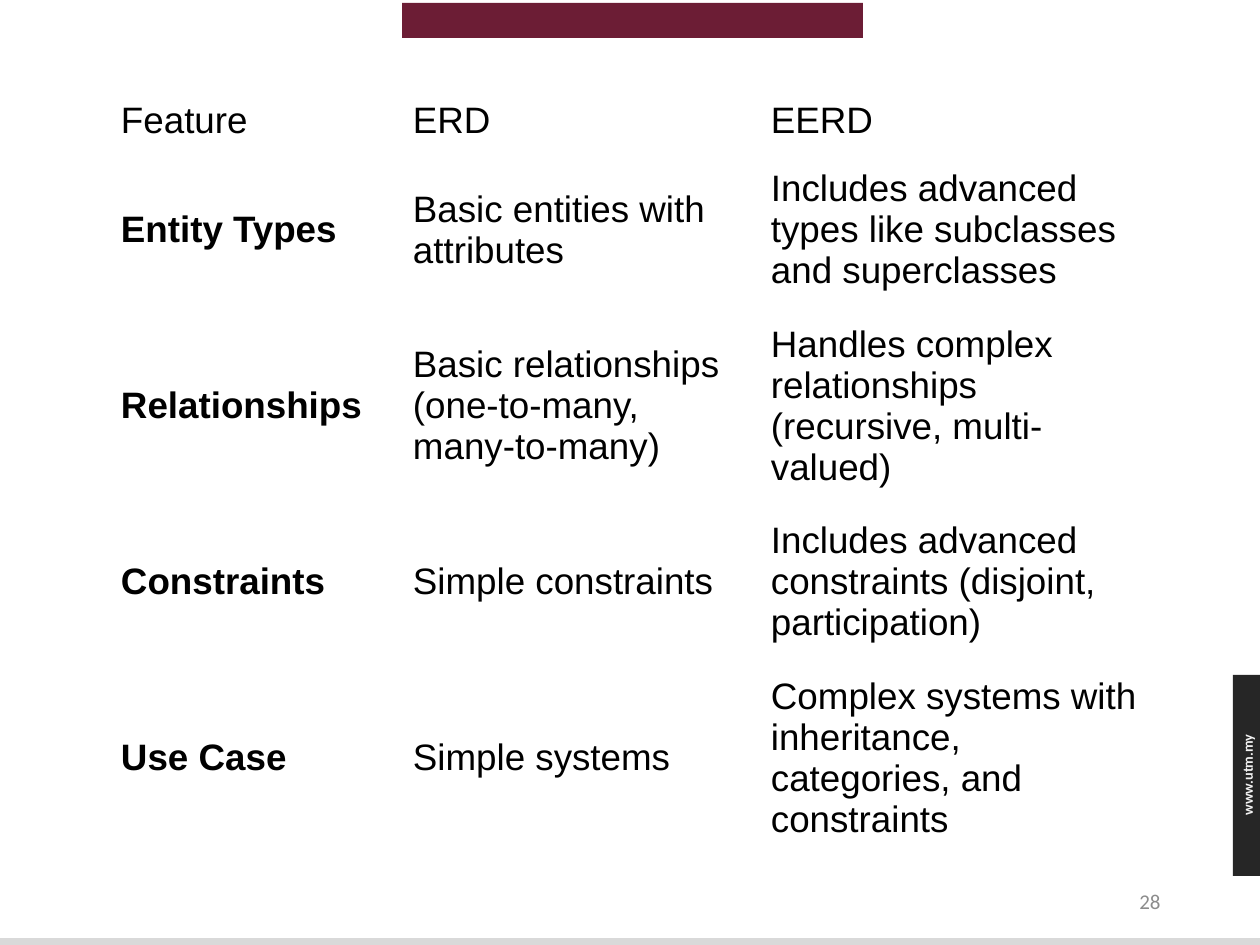
from pptx import Presentation
from pptx.dml.color import RGBColor
from pptx.enum.shapes import MSO_SHAPE
from pptx.enum.text import MSO_ANCHOR, PP_ALIGN
from pptx.util import Pt

RECT = MSO_SHAPE.RECTANGLE
MIDDLE = MSO_ANCHOR.MIDDLE
LEFT, CENTER, RIGHT = PP_ALIGN.LEFT, PP_ALIGN.CENTER, PP_ALIGN.RIGHT

COLORS = {"maroon": "6C1D35", "silver": "D9D9D9", "charcoal": "262626",
          "offwhite": "F2F2F2", "gray": "8C8C8C", "black": "000000"}

ROWS = [
    ("Feature", "ERD", "EERD"),
    ("Entity Types", "Basic entities with attributes",
     "Includes advanced types like subclasses and superclasses"),
    ("Relationships", "Basic relationships (one-to-many, many-to-many)",
     "Handles complex relationships (recursive, multi-valued)"),
    ("Constraints", "Simple constraints",
     "Includes advanced constraints (disjoint, participation)"),
    ("Use Case", "Simple systems",
     "Complex systems with inheritance, categories, and constraints"),
]
COL_WIDTHS = [292, 358, 397]
ROW_HEIGHTS = [65, 154, 198, 154, 198]
TABLE_LEFT, TABLE_TOP = 106, 88
INSET_X, INSET_Y = 15, 8

BARS = [
    ((402, 3, 461, 35), "maroon"),
    ((0, 938, 1260, 7), "silver"),
    ((1233, 675, 27, 201), "charcoal"),
]
LABELS = [
    ("www.utm.my", (1152, 760, 190, 30), 270, CENTER, 8.2, "offwhite", True),
    ("28", (890, 876, 283, 50), 0, RIGHT, 12, "gray", False),
]


def px(n):
    return round(n * 914400 / 126)


def color(name):
    return RGBColor.from_string(COLORS[name])


def style(p, font, size, name, bold, align):
    p.alignment = align
    p.font.name = font
    p.font.size = Pt(size)
    p.font.bold = bold
    p.font.color.rgb = color(name)


def add_bar(s, box, name):
    sp = s.shapes.add_shape(RECT, *map(px, box))
    sp.shadow.inherit = False
    sp.fill.solid()
    sp.fill.fore_color.rgb = color(name)
    sp.line.fill.background()


def add_label(s, text, box, rotation, align, size, name, bold):
    sp = s.shapes.add_textbox(*map(px, box))
    sp.rotation = rotation
    tf = sp.text_frame
    tf.word_wrap = True
    tf.vertical_anchor = MIDDLE
    tf.text = text
    style(tf.paragraphs[0], "Calibri", size, name, bold, align)


def add_comparison(s):
    box = (TABLE_LEFT, TABLE_TOP, sum(COL_WIDTHS), sum(ROW_HEIGHTS))
    table = s.shapes.add_table(len(ROWS), len(COL_WIDTHS), *map(px, box)).table
    table.first_row = table.horz_banding = False
    for col, width in zip(table.columns, COL_WIDTHS):
        col.width = px(width)
    for i, (row, height) in enumerate(zip(table.rows, ROW_HEIGHTS)):
        row.height = px(height)
        for j, cell in enumerate(row.cells):
            cell.fill.background()
            cell.vertical_anchor = MIDDLE
            cell.margin_left = cell.margin_right = px(INSET_X)
            cell.margin_top = cell.margin_bottom = px(INSET_Y)
            cell.text = ROWS[i][j]
            style(cell.text_frame.paragraphs[0], "Arial", 21, "black",
                  i > 0 and j == 0, LEFT)


def main():
    prs = Presentation()
    prs.slide_width, prs.slide_height = px(1260), px(945)
    s = prs.slides.add_slide(prs.slide_layouts[6])
    for bar in BARS:
        add_bar(s, *bar)
    for label in LABELS:
        add_label(s, *label)
    add_comparison(s)
    prs.save("out.pptx")


if __name__ == "__main__":
    main()
